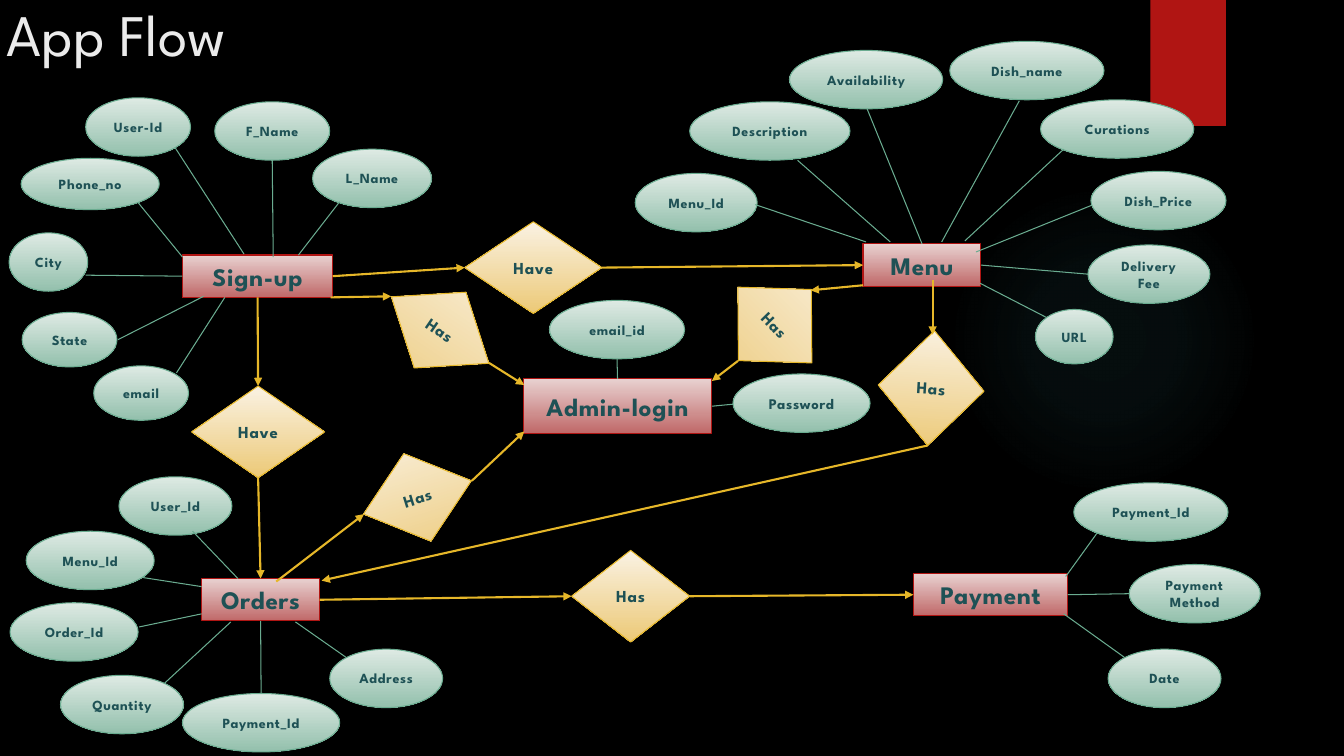
from lxml.etree import SubElement
from pptx import Presentation
from pptx.dml.color import RGBColor
from pptx.enum.shapes import MSO_CONNECTOR, MSO_SHAPE
from pptx.enum.text import MSO_ANCHOR, PP_ALIGN
from pptx.oxml import parse_xml
from pptx.oxml.ns import nsdecls, qn
from pptx.util import Emu, Pt

PX = 9144  # 100 px to the inch
FONT = "League Spartan"
TEXT = "1E5155"
GREEN = "6AAC90"
GOLD = "E6B729"
RED = "B01513"

# preset, gradient top, gradient bottom, outline
ENTITY = (MSO_SHAPE.RECTANGLE, "E8D1D0", "C06969", RED)
RELATION = (MSO_SHAPE.DIAMOND, "FAF2E3", "ECC977", GOLD)
ATTRIBUTE = (MSO_SHAPE.OVAL, "DEEAE4", "93C0AC", GREEN)

# label, (left, top, width, height)
ENTITIES = [
    ("Sign-up", (181, 253, 149, 42)),
    ("Orders", (200, 574, 117, 42)),
    ("Menu", (856, 242, 117, 42)),
    ("Admin-login", (519, 376, 187, 54)),
    ("Payment", (906, 569, 153, 42)),
]

# label, (left, top, width, height), rotation
RELATIONS = [
    ("Has", (567, 546, 117, 91), 0),
    ("Have", (461, 220, 136, 91), 0),
    ("Has", (378, 282, 117, 91), 34.3),
    ("Has", (716, 272, 105, 101), 45.7),
    ("Have", (190, 383, 132, 91), 0),
    ("Has", (358, 448, 112, 91), 342.8),
    ("Has", (871, 328, 105, 114), 3.4),
]

# label, (left, top, width, height), link from the attribute, link to its entity
ATTRIBUTES = [
    ("User-Id", (85, 97, 104, 58), (174, 147), (242, 252)),
    ("F_Name", (213, 101, 114, 58), (270, 159), (271, 255)),
    ("L_Name", (310, 148, 118, 58), (337, 200), (296, 253)),
    ("Phone_no", (21, 157, 137, 51), (137, 201), (181, 255)),
    ("City", (9, 231, 78, 58), (85, 273), (181, 274)),
    ("State", (22, 310, 94, 54), (117, 337), (202, 294)),
    ("email", (93, 363, 94, 54), (175, 370), (223, 295)),
    ("User_Id", (118, 473, 112, 58), (191, 527), (236, 574)),
    ("Menu_Id", (26, 527, 127, 58), (142, 573), (200, 582)),
    ("Order_Id", (10, 598, 127, 58), (138, 622), (200, 609)),
    ("Quantity", (60, 670, 122, 58), (163, 678), (229, 617)),
    ("Payment_Id", (181, 688, 156, 58), (259, 688), (259, 616)),
    ("Address", (327, 644, 112, 58), (343, 652), (293, 617)),
    ("Menu_Id", (630, 172, 121, 58), (749, 203), (859, 240)),
    ("Description", (684, 101, 159, 58), (791, 159), (883, 240)),
    ("Availability", (783, 50, 152, 58), (860, 108), (914, 242)),
    ("Dish_name", (942, 41, 153, 58), (1011, 100), (934, 240)),
    ("Curations", (1032, 99, 152, 58), (1055, 148), (957, 239)),
    ("Dish_Price", (1082, 170, 134, 58), (1082, 204), (968, 250)),
    ("Delivery Fee", (1079, 243, 121, 58), (1079, 272), (973, 263)),
    ("URL", (1027, 307, 77, 54), (1038, 315), (972, 281)),
    ("email_id", (545, 298, 134, 58), (612, 356), (613, 376)),
    ("Password", (727, 371, 136, 58), (727, 401), (707, 403)),
    ("Payment_Id", (1065, 479, 153, 58), (1088, 529), (1057, 572)),
    ("Payment Method", (1120, 560, 130, 58), (1120, 589), (1060, 590)),
    ("Date", (1099, 644, 112, 58), (1115, 652), (1055, 609)),
]

FLOWS = [
    ((317, 595), (567, 592)),
    ((684, 592), (906, 590)),
    ((256, 295), (256, 383)),
    ((256, 475), (259, 574)),
    ((331, 274), (461, 266)),
    ((598, 266), (856, 263)),
    ((328, 295), (388, 294)),
    ((920, 442), (319, 576)),
    ((485, 360), (520, 382)),
    ((732, 358), (706, 378)),
    ((856, 283), (804, 288)),
    ((274, 577), (361, 510)),
    ((468, 477), (520, 428)),
    ((925, 278), (925, 332)),
]


def px(*lengths):
    return [Emu(length * PX) for length in lengths]


def rgb(value):
    return RGBColor.from_string(value)


def add_plain(slide, preset, box, color):
    shape = slide.shapes.add_shape(preset, *px(*box))
    shape.shadow.inherit = False
    shape.line.fill.background()
    shape.fill.solid()
    shape.fill.fore_color.rgb = rgb(color)
    return shape


def add_glow(slide):
    """Faint round glow, fading out from its centre."""
    glow = add_plain(slide, MSO_SHAPE.OVAL, (941, 183, 308, 308), "50B9C1")
    stops = "".join(
        f'<a:gs pos="{pos}000"><a:srgbClr val="50B9C1"><a:alpha val="{alpha}000"/>'
        "</a:srgbClr></a:gs>" for pos, alpha in ((0, 7), (36, 6), (69, 0)))
    gradient = parse_xml(
        f'<a:gradFill {nsdecls("a")}><a:gsLst>{stops}</a:gsLst><a:path path="circle">'
        '<a:fillToRect l="50000" t="50000" r="50000" b="50000"/></a:path></a:gradFill>')
    properties = glow._element.spPr
    properties.replace(properties.find(qn("a:solidFill")), gradient)


def add_title(slide, title):
    frame = slide.shapes.add_textbox(*px(-3, -7, 1029, 153)).text_frame
    frame.word_wrap = True
    frame.text = title
    font = frame.paragraphs[0].runs[0].font
    font.name, font.size, font.color.rgb = FONT, Pt(42), rgb("EBEBEB")


def add_node(slide, style, label, box, size, rotation=0):
    preset, top_color, bottom_color, outline = style
    node = slide.shapes.add_shape(preset, *px(*box))
    node.shadow.inherit = False
    node.rotation = rotation
    node.fill.gradient()
    node.fill.gradient_angle = 270
    for stop, color in zip(node.fill.gradient_stops, (top_color, bottom_color)):
        stop.color.rgb = rgb(color)
    node.line.color.rgb = rgb(outline)
    node.line.width = Pt(0.75)
    frame = node.text_frame
    frame.word_wrap = True
    frame.vertical_anchor = MSO_ANCHOR.MIDDLE
    frame.text = label
    paragraph = frame.paragraphs[0]
    paragraph.alignment = PP_ALIGN.CENTER
    run = paragraph.runs[0]
    run.font.name, run.font.size, run.font.bold = FONT, Pt(size), True
    run.font.color.rgb = rgb(TEXT)
    run._r.get_or_add_rPr().set("spc", "50")
    return node


def find_site(point, nodes):
    """Node and side whose middle lies within 2 px of the point, if any."""
    x, y = px(*point)
    for node in nodes:
        center_x, center_y = node.left + node.width / 2, node.top + node.height / 2
        sides = ((center_x, node.top), (node.left, center_y),
                 (center_x, node.top + node.height), (node.left + node.width, center_y))
        for site, (side_x, side_y) in enumerate(sides):
            if max(abs(side_x - x), abs(side_y - y)) <= 2 * PX:
                return node, site
    return None


def add_link(slide, start, end, nodes, color, width, arrow=False):
    link = slide.shapes.add_connector(MSO_CONNECTOR.STRAIGHT, *px(*start, *end))
    for point, connect in ((start, link.begin_connect), (end, link.end_connect)):
        joined = find_site(point, nodes)
        if joined:
            connect(*joined)
    link.line.color.rgb = rgb(color)
    link.line.width = Pt(width)
    properties = link._element.spPr
    if arrow:
        SubElement(properties.find(qn("a:ln")), qn("a:tailEnd"), type="triangle")
    SubElement(properties, qn("a:effectLst"))


def main():
    deck = Presentation()
    deck.slide_width, deck.slide_height = px(1333, 750)
    slide = deck.slides.add_slide(deck.slide_layouts[6])
    slide.background.fill.solid()
    slide.background.fill.fore_color.rgb = rgb("000000")

    add_glow(slide)
    add_plain(slide, MSO_SHAPE.RECTANGLE, (1141, 0, 75, 125), RED)
    add_title(slide, "App Flow")

    nodes = [add_node(slide, ENTITY, label, box, 18) for label, box in ENTITIES]
    for label, box, rotation in RELATIONS:
        relation = add_node(slide, RELATION, label, box, 12, rotation)
        if not rotation:
            nodes.append(relation)
    for label, box, start, end in ATTRIBUTES:
        add_node(slide, ATTRIBUTE, label, box, 10.5 if label == "Password" else 10)
        add_link(slide, start, end, nodes, GREEN, 0.75)
    for start, end in FLOWS:
        add_link(slide, start, end, nodes, GOLD, 1.5, arrow=True)

    deck.save("out.pptx")


if __name__ == "__main__":
    main()
